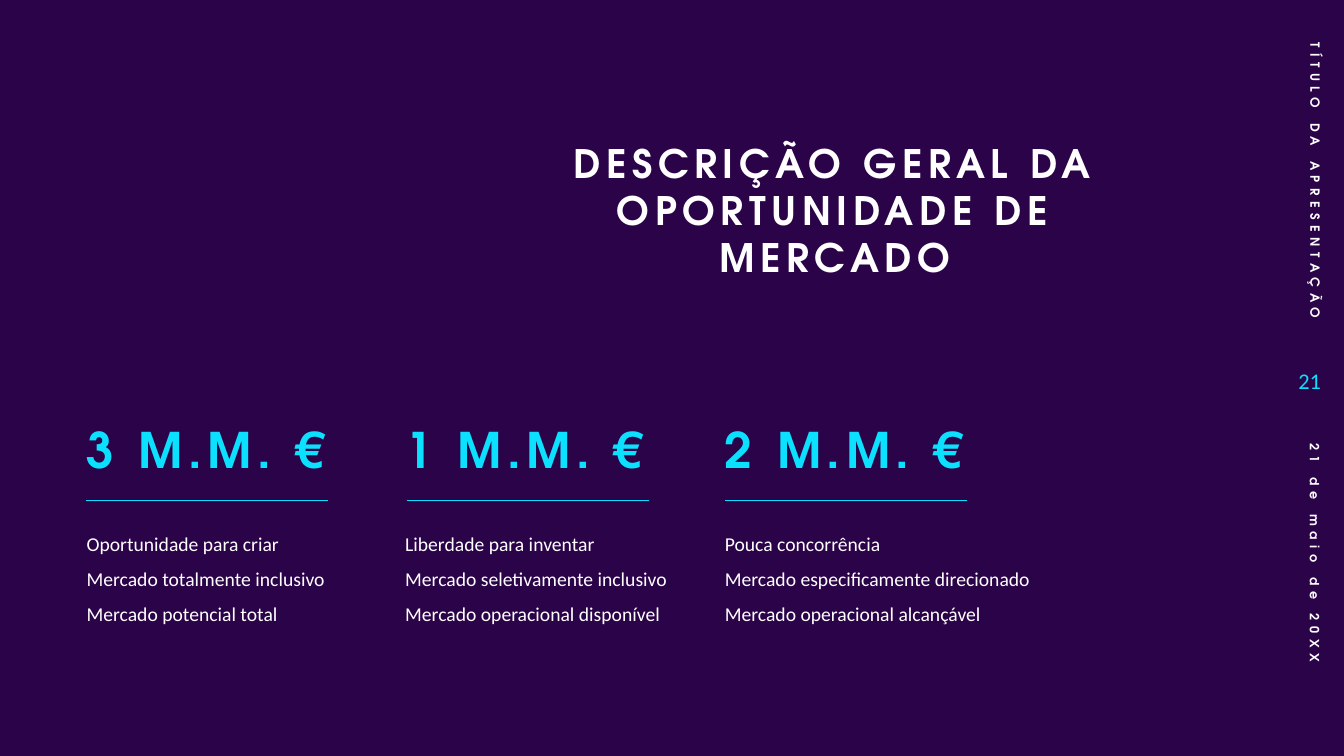
from lxml.etree import SubElement
from pptx import Presentation
from pptx.dml.color import RGBColor
from pptx.enum.shapes import MSO_CONNECTOR
from pptx.enum.text import MSO_ANCHOR, PP_ALIGN
from pptx.oxml.ns import qn
from pptx.util import Pt

SCALE = 9144
COLORS = {"background": "2B0348", "text": "FFFFFF", "accent": "0BE1FF"}
HEADING_FONT = "TeX Gyre Adventor"
BODY_FONT = "Calibri"
MARKETS = [
    (76, 85, 295, "3 M.M. €",
     ["Oportunidade para criar", "Mercado totalmente inclusivo", "Mercado potencial total"]),
    (392, 404, 295, "1 M.M. €",
     ["Liberdade para inventar", "Mercado seletivamente inclusivo", "Mercado operacional disponível"]),
    (709, 719, 325, "2 M.M. €",
     ["Pouca concorrência", "Mercado especificamente direcionado", "Mercado operacional alcançável"]),
]


def px(length):
    return length * SCALE


def color(name):
    return RGBColor.from_string(COLORS[name])


def add_text(page, box, lines, size, font=BODY_FONT, fill="text", bold=False, tracking=0,
             align=PP_ALIGN.LEFT, anchor=MSO_ANCHOR.TOP, leading=1.0, rotation=0):
    shape = page.shapes.add_textbox(*map(px, box))
    shape.rotation = rotation
    frame = shape.text_frame
    frame.word_wrap = True
    frame.vertical_anchor = anchor
    for index, line in enumerate(lines):
        para = frame.paragraphs[0] if index == 0 else frame.add_paragraph()
        para.alignment = align
        para.line_spacing = leading
        span = para.add_run()
        span.text = line
        span.font.size = Pt(size)
        span.font.name = font
        span.font.bold = bold
        span.font.color.rgb = color(fill)
        if tracking:
            span.font._element.set("spc", str(tracking * 100))


def add_rule(page, left, top, width):
    rule = page.shapes.add_connector(MSO_CONNECTOR.STRAIGHT, px(left), px(top), px(left + width), px(top))
    rule.line.color.rgb = color("accent")
    rule.line.width = Pt(0.5)
    SubElement(rule._element.spPr, qn("a:effectLst"))


def add_title(page, box):
    add_text(page, box, ["DESCRIÇÃO GERAL DA OPORTUNIDADE DE MERCADO"], 28, font=HEADING_FONT,
             bold=True, tracking=4, align=PP_ALIGN.CENTER)


def add_market(page, box, rule_left, amount, points):
    left, top, width, height = box
    add_text(page, (left, top, 295, 108), [amount], 35, font=HEADING_FONT, fill="accent",
             bold=True, tracking=4, anchor=MSO_ANCHOR.BOTTOM, leading=0.9)
    add_rule(page, rule_left, top + 124, 240)
    add_text(page, (left, top + 139, width, height - 139), points, 14, leading=1.5)


def add_side_strip(page, box):
    left, top, width, height = box
    center = left + width // 2

    def add_vertical(middle, length, text, align):
        add_text(page, (center - length // 2, middle - 20, length, 40), [text], 9,
                 font=HEADING_FONT, bold=True, tracking=4, align=align,
                 anchor=MSO_ANCHOR.MIDDLE, rotation=90)

    add_vertical(top + 151, 303, "TÍTULO DA APRESENTAÇÃO", PP_ALIGN.RIGHT)
    add_text(page, (left - 24, top + 323, 60, 63), ["21"], 16, fill="accent",
             align=PP_ALIGN.RIGHT, anchor=MSO_ANCHOR.MIDDLE)
    add_vertical(top + height - 145, 290, "21 de maio de 20XX", PP_ALIGN.LEFT)


def main():
    deck = Presentation()
    deck.slide_width, deck.slide_height = px(1333), px(750)
    page = deck.slides.add_slide(deck.slide_layouts[6])
    page.background.fill.solid()
    page.background.fill.fore_color.rgb = color("background")
    add_title(page, (550, 133, 557, 162))
    for left, rule_left, width, amount, points in MARKETS:
        add_market(page, (left, 372, width, 265), rule_left, amount, points)
    add_side_strip(page, (1284, 23, 40, 697))
    deck.save("out.pptx")


if __name__ == "__main__":
    main()
